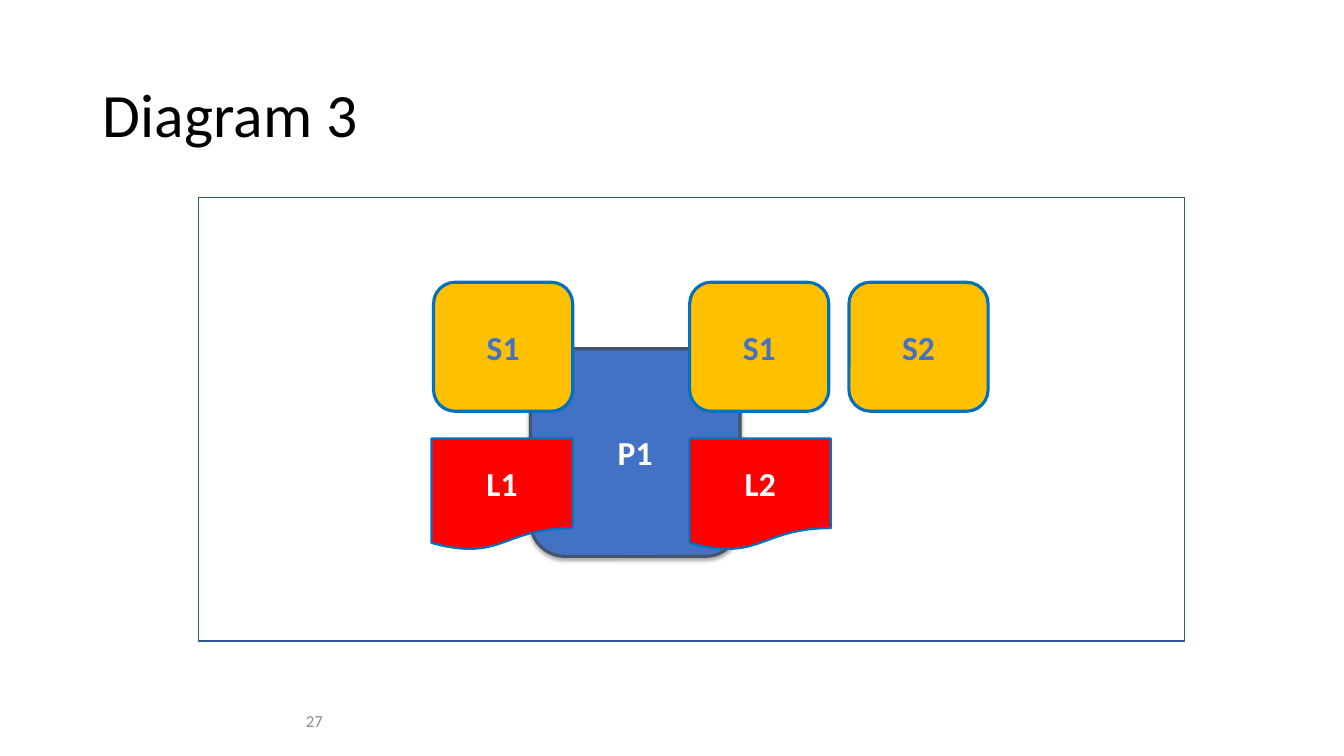
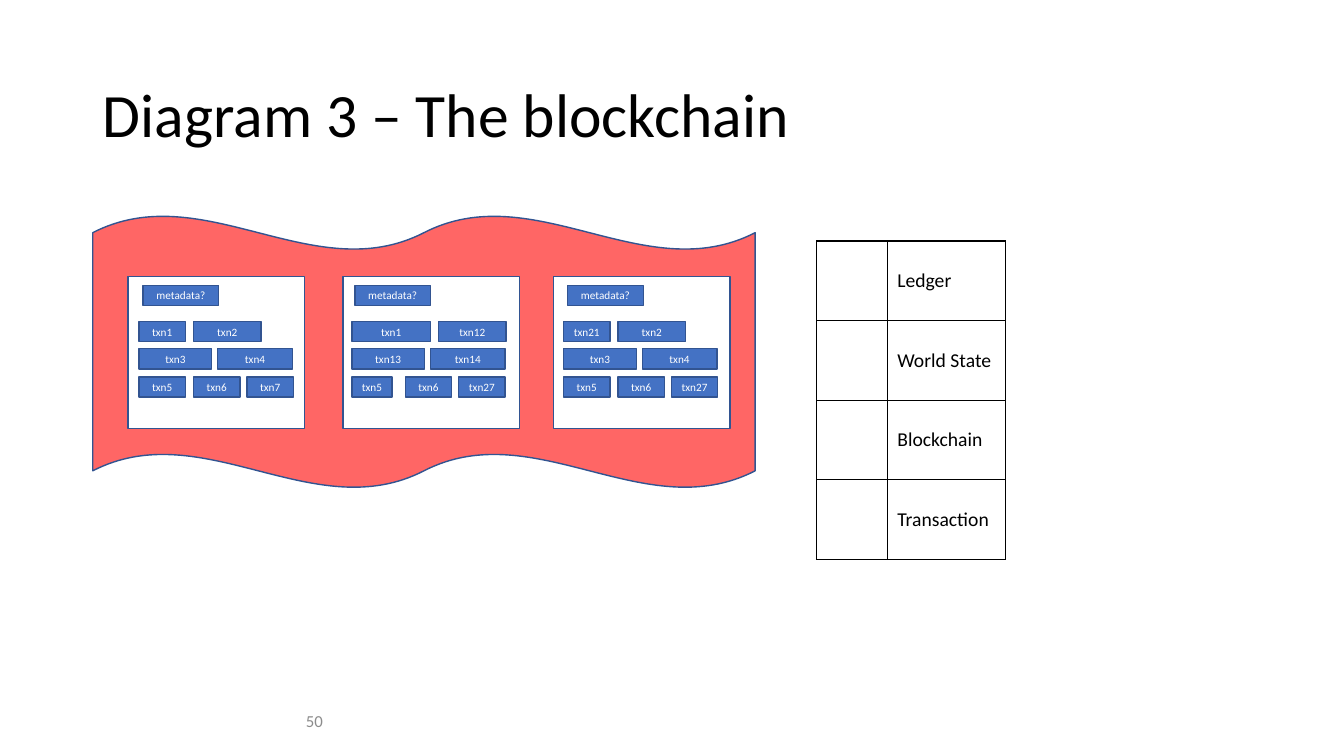
from lxml.etree import SubElement
from pptx import Presentation
from pptx.dml.color import RGBColor
from pptx.enum.shapes import MSO_SHAPE
from pptx.enum.text import MSO_ANCHOR, PP_ALIGN
from pptx.oxml.ns import qn
from pptx.util import Inches, Pt

FONT = "Calibri"
COLORS = {
    "black": "000000",
    "white": "FFFFFF",
    "number": "8C8C8C",
    "peer": "4372C4",
    "peer_line": "44546A",
    "ledger": "FF0000",
    "contract": "FFC000",
    "accent_line": "0070C0",
    "wave": "FF6665",
    "transaction": "4472C4",
    "outline": "325491",
}
TITLE_BOX = (0.92, 0.44, 11.5, 1.45)
NUMBER_BOX = (0.3, 6.95, 3, 0.4)

BLOCK_SIZE = (1.75, 1.51)
LABEL_HEIGHT = 0.2
METADATA_PLACE = (0.09, 0.75)
ROW_TOPS = (0.45, 0.72, 1.0)
COMMON_ROWS = (
    ((0, 0.46), (0.54, 0.67)),
    ((0, 0.72), (0.78, 0.74)),
    ((0, 0.46), (0.54, 0.46), (1.07, 0.46)),
)
WIDE_ROWS = (
    ((0, 0.78), (0.86, 0.67)),
    COMMON_ROWS[1],
    ((0, 0.4), (0.53, 0.46), (1.06, 0.46)),
)
BLOCKS = (
    (0.35, 0.15, 0.11, COMMON_ROWS,
     (("txn1", "txn2"), ("txn3", "txn4"), ("txn5", "txn6", "txn7"))),
    (2.48, 0.12, 0.09, WIDE_ROWS,
     (("txn1", "txn12"), ("txn13", "txn14"), ("txn5", "txn6", "txn27"))),
    (4.57, 0.14, 0.1, COMMON_ROWS,
     (("txn21", "txn2"), ("txn3", "txn4"), ("txn5", "txn6", "txn27"))),
)


def rgb(name):
    """Return the named colour."""
    return RGBColor.from_string(COLORS[name])


def to_inches(box):
    """Convert a box of numbers to lengths."""
    return [Inches(value) for value in box]


def set_text(text_frame, text, size, color, align=PP_ALIGN.LEFT, bold=False):
    """Write one vertically centred, formatted paragraph."""
    text_frame.text = text
    text_frame.word_wrap = True
    text_frame.vertical_anchor = MSO_ANCHOR.MIDDLE
    paragraph = text_frame.paragraphs[0]
    paragraph.alignment = align
    font = paragraph.runs[0].font
    font.name, font.size, font.bold = FONT, Pt(size), bold
    font.color.rgb = rgb(color)
    return paragraph


def add_box(shapes, kind, box, fill, line="outline", line_width=1):
    """Add a flat preset shape, unfilled when fill is None."""
    shape = shapes.add_shape(kind, *to_inches(box))
    shape.shadow.inherit = False
    if fill:
        shape.fill.solid()
        shape.fill.fore_color.rgb = rgb(fill)
    else:
        shape.fill.background()
    shape.line.color.rgb = rgb(line)
    shape.line.width = Pt(line_width)
    return shape


def add_soft_shadow(shape):
    """Give a shape a faint shadow below it."""
    effects = shape.element.spPr.find(qn("a:effectLst"))
    shadow = SubElement(effects, qn("a:outerShdw"), blurRad=str(Pt(3.1)),
                        dist=str(Pt(1.8)), dir="5400000", rotWithShape="0")
    color = SubElement(shadow, qn("a:srgbClr"), val=COLORS["black"])
    SubElement(color, qn("a:alpha"), val="35000")


def add_titled_slide(presentation, title_text, number):
    """Add a slide with the shared title and slide number."""
    slide = presentation.slides.add_slide(presentation.slide_layouts[5])
    title = slide.shapes.title
    title.left, title.top, title.width, title.height = to_inches(TITLE_BOX)
    set_text(title.text_frame, title_text, 44, "black").line_spacing = 0.9
    number_box = slide.shapes.add_textbox(*to_inches(NUMBER_BOX))
    set_text(number_box.text_frame, number, 12, "number", PP_ALIGN.RIGHT)
    return slide


def add_peer_diagram(slide, left, top, width, height):
    """Draw a peer with its ledgers and contracts inside a frame."""
    group = slide.shapes.add_group_shape().shapes
    rounded, document = MSO_SHAPE.ROUNDED_RECTANGLE, MSO_SHAPE.FLOWCHART_DOCUMENT
    peer = add_box(group, rounded, (left + 3.29, top + 1.5, 2.08, 2.06),
                   "peer", "peer_line", 2.25)
    add_soft_shadow(peer)
    set_text(peer.text_frame, "P1", 24, "white", PP_ALIGN.CENTER, True)
    for text, x in (("L2", 4.87), ("L1", 2.31)):
        ledger = add_box(group, document, (left + x, top + 2.39, 1.4, 1.11),
                         "ledger", "accent_line", 1.5)
        set_text(ledger.text_frame, text, 24, "white", PP_ALIGN.CENTER, True)
    for text, x in (("S1", 4.87), ("S2", 6.45), ("S1", 2.33)):
        contract = add_box(group, rounded, (left + x, top + 0.84, 1.38, 1.28),
                           "contract", "accent_line", 2.25)
        set_text(contract.text_frame, text, 24, "peer", PP_ALIGN.CENTER, True)
    add_box(slide.shapes, MSO_SHAPE.RECTANGLE, (left, top, width, height), None)


def add_label(slide, text, left, top, width):
    """Add one small labelled bar of a block."""
    label = add_box(slide.shapes, MSO_SHAPE.RECTANGLE,
                    (left, top, width, LABEL_HEIGHT), "transaction")
    text_frame = label.text_frame
    text_frame.margin_left = text_frame.margin_right = 0
    text_frame.margin_top = text_frame.margin_bottom = 0
    set_text(text_frame, text, 8, "white", PP_ALIGN.CENTER)


def add_block(slide, left, top, metadata_inset, row_inset, rows, names):
    """Draw a block with its metadata and rows of transactions."""
    add_box(slide.shapes, MSO_SHAPE.RECTANGLE, (left, top, *BLOCK_SIZE), "white")
    metadata_top, metadata_width = METADATA_PLACE
    add_label(slide, "metadata?", left + metadata_inset, top + metadata_top,
              metadata_width)
    for row_top, places, row_names in zip(ROW_TOPS, rows, names):
        for (offset, width), name in zip(places, row_names):
            add_label(slide, name, left + row_inset + offset, top + row_top, width)


def add_blockchain(slide, left, top, width, height):
    """Draw the wave and the blocks on it."""
    add_box(slide.shapes, MSO_SHAPE.DOUBLE_WAVE, (left, top, width, height), "wave")
    for offset, *contents in BLOCKS:
        add_block(slide, left + offset, top + 0.6, *contents)


def set_borders(cell):
    """Draw a thin black line on every side of a cell."""
    properties = cell._tc.get_or_add_tcPr()
    for side in ("lnL", "lnR", "lnT", "lnB"):
        line = SubElement(properties, qn(f"a:{side}"), w=str(Pt(1)))
        fill = SubElement(line, qn("a:solidFill"))
        SubElement(fill, qn("a:srgbClr"), val=COLORS["black"])


def add_legend(slide, left, top, column_widths, row_height, names):
    """Add the table with an empty key column and a name column."""
    box = (left, top, sum(column_widths), row_height * len(names))
    table = slide.shapes.add_table(len(names), 2, *to_inches(box)).table
    table.first_row = table.horz_banding = False
    for column, width in zip(table.columns, column_widths):
        column.width = Inches(width)
    for cell in table.iter_cells():
        set_borders(cell)
        cell.fill.background()
    for index, name in enumerate(names):
        cell = table.cell(index, 1)
        set_text(cell.text_frame, name, 14, "black")
        cell.vertical_anchor = MSO_ANCHOR.MIDDLE
        cell.margin_right = Inches(0.05)


def main():
    """Build and save the presentation."""
    presentation = Presentation()
    presentation.slide_width = Inches(13.33)
    presentation.slide_height = Inches(7.5)
    slide = add_titled_slide(presentation, "Diagram 3", "27")
    add_peer_diagram(slide, 1.97, 1.96, 9.78, 4.4)
    slide = add_titled_slide(presentation, "Diagram 3 – The blockchain", "50")
    add_legend(slide, 8.1, 2.39, (0.7, 1.17), 0.79,
               ("Ledger", "World State", "Blockchain", "Transaction"))
    add_blockchain(slide, 0.92, 2.14, 6.57, 2.7)
    presentation.save("out.pptx")


if __name__ == "__main__":
    main()
